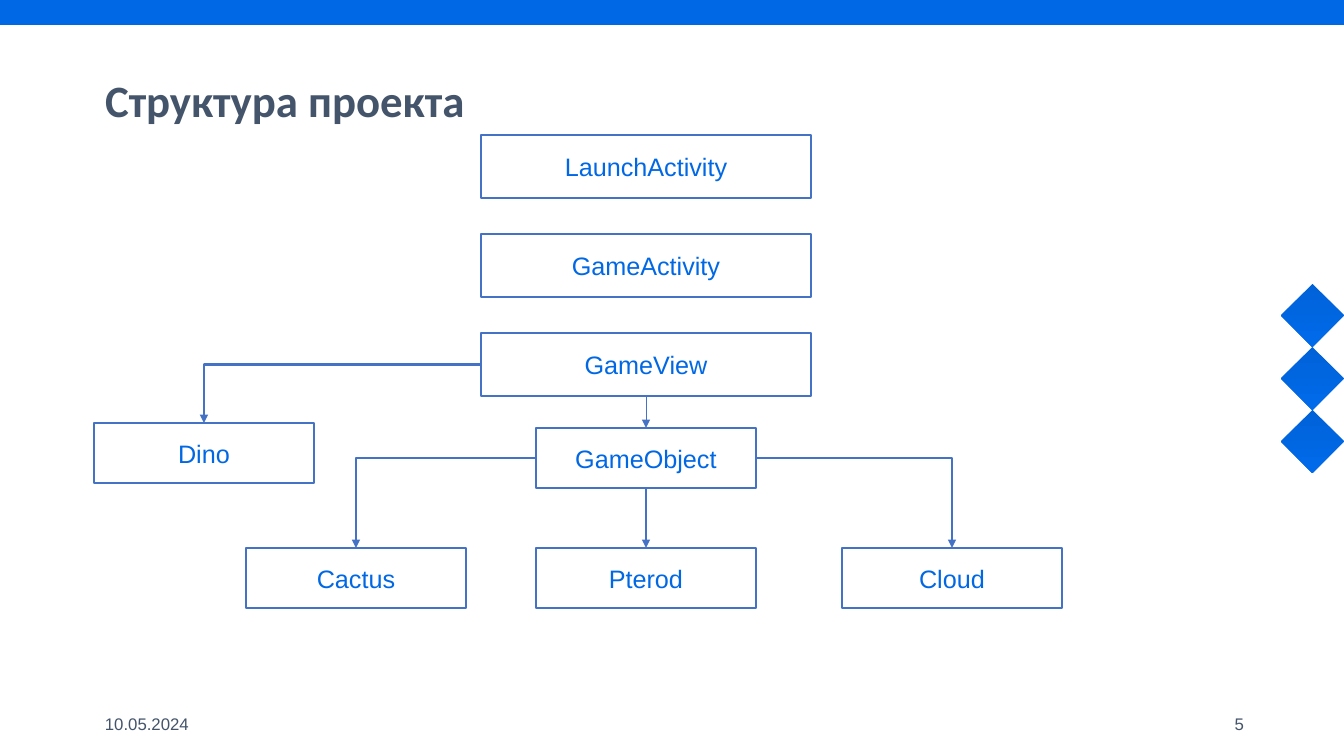
from lxml.etree import SubElement
from pptx import Presentation
from pptx.dml.color import RGBColor
from pptx.enum.shapes import MSO_CONNECTOR, MSO_SHAPE
from pptx.enum.text import MSO_ANCHOR, PP_ALIGN
from pptx.oxml.ns import qn
from pptx.util import Pt

TITLE = "Структура проекта"
DATE, NUMBER = "10.05.2024", "5"
MAIN = ["LaunchActivity", "GameActivity", "GameView"]
CLASSES = [("GameObject", 536, 428), ("Dino", 94, 423), ("Cloud", 842, 548),
           ("Cactus", 246, 548), ("Pterod", 536, 548)]
UNFILLED = {"LaunchActivity", "Cloud", "Cactus", "Pterod"}
TOP, LEFT, BOTTOM, RIGHT = range(4)
ARROWS = [("GameView", LEFT, "Dino", 1.5), ("GameView", BOTTOM, "GameObject", 0.5),
          ("GameObject", BOTTOM, "Pterod", 1.5), ("GameObject", RIGHT, "Cloud", 1.5),
          ("GameObject", LEFT, "Cactus", 1.5)]
BLUE, SLATE, OUTLINE, WHITE = "0068E4", "44546A", "4472C4", "FFFFFF"
DIAMOND = ["0062D9", "006BEA"]


def px(n):
    return round(n * 914400 / 100.8)


def color(value):
    return RGBColor.from_string(value)


def write(shape, text, size, tint, align, font="Arial", bold=False):
    tf = shape.text_frame
    tf.word_wrap = True
    tf.vertical_anchor = MSO_ANCHOR.MIDDLE
    tf.text = text
    p = tf.paragraphs[0]
    p.alignment = align
    p.font.name, p.font.size, p.font.bold = font, Pt(size), bold
    p.font.color.rgb = color(tint)
    return p


def add_plain(s, kind, x, y, w, h):
    sp = s.shapes.add_shape(kind, px(x), px(y), px(w), px(h))
    sp.shadow.inherit = False
    return sp


def add_decor(s):
    for i in range(3):
        sp = add_plain(s, MSO_SHAPE.DIAMOND, 1281, 284 + 63 * i, 63, 63)
        sp.fill.gradient()
        sp.fill.gradient_angle = 270
        for stop, tint, position in zip(sp.fill.gradient_stops, DIAMOND, (0, 1)):
            stop.color.rgb = color(tint)
            stop.position = position
        sp.line.fill.background()
    bar = add_plain(s, MSO_SHAPE.RECTANGLE, 0, 0, 1344, 25)
    bar.fill.solid()
    bar.fill.fore_color.rgb = color(BLUE)
    bar.line.fill.background()


def add_box(s, name, x, y, w, h):
    sp = add_plain(s, MSO_SHAPE.RECTANGLE, x, y, w, h)
    if name in UNFILLED:
        sp.fill.background()
    else:
        sp.fill.solid()
        sp.fill.fore_color.rgb = color(WHITE)
    sp.line.color.rgb = color(OUTLINE)
    sp.line.width = Pt(1)
    write(sp, name, 18, BLUE, PP_ALIGN.CENTER)
    return sp


def add_arrow(s, start, side, end, width):
    bent = side != BOTTOM
    kind = MSO_CONNECTOR.ELBOW if bent else MSO_CONNECTOR.STRAIGHT
    line = s.shapes.add_connector(kind, 0, 0, 0, 0)
    line.begin_connect(start, side)
    line.end_connect(end, TOP)
    line.line.color.rgb = color(OUTLINE)
    line.line.width = Pt(width)
    props = line._element.spPr
    if bent:
        props.find(qn("a:prstGeom")).set("prst", "bentConnector2")
    SubElement(props.find(qn("a:ln")), qn("a:tailEnd"), type="triangle")
    SubElement(props, qn("a:effectLst"))


def main():
    """Build the project structure slide."""
    prs = Presentation()
    prs.slide_width, prs.slide_height = px(1344), px(756)
    s = prs.slides.add_slide(prs.slide_layouts[5])
    add_decor(s)
    for text, x, align in [(DATE, 95, PP_ALIGN.LEFT), (NUMBER, 952, PP_ALIGN.RIGHT)]:
        tb = s.shapes.add_textbox(px(x), px(704), px(302), px(40))
        write(tb, text, 12, SLATE, align)
    title = s.shapes.title
    title.left, title.top, title.width, title.height = px(95), px(66), px(1020), px(77)
    write(title, TITLE, 32, SLATE, PP_ALIGN.LEFT, "Calibri", True).line_spacing = 0.8

    boxes = {name: add_box(s, name, 481, 135 + 99 * i, 330, 63)
             for i, name in enumerate(MAIN)}
    for name, x, y in CLASSES:
        boxes[name] = add_box(s, name, x, y, 220, 60)
    for start, side, end, width in ARROWS:
        add_arrow(s, boxes[start], side, boxes[end], width)
    prs.save("out.pptx")


if __name__ == "__main__":
    main()
